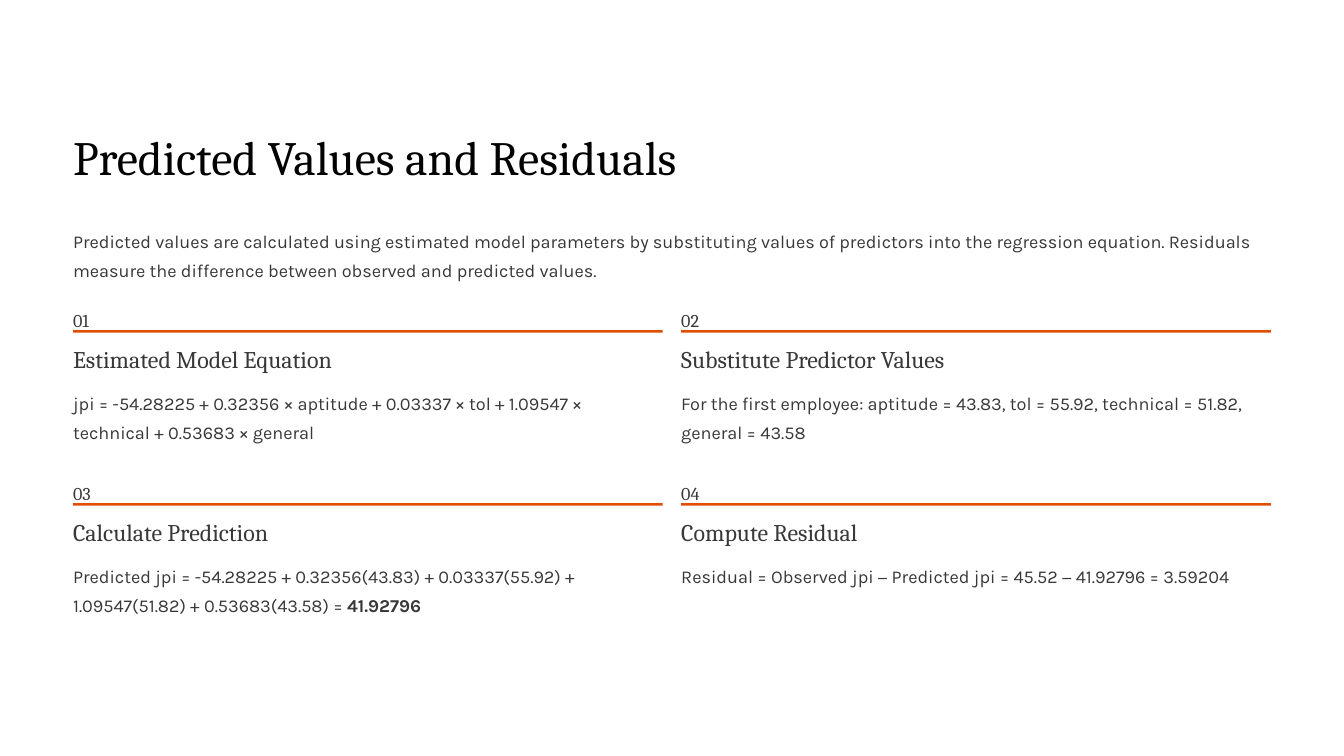
from dataclasses import dataclass

from pptx import Presentation
from pptx.dml.color import RGBColor
from pptx.enum.shapes import MSO_SHAPE
from pptx.enum.text import MSO_ANCHOR, MSO_AUTO_SIZE, PP_ALIGN
from pptx.util import Inches, Pt

SERIF, SANS = "Cambria", "Karla"
WHITE, BLACK, GREY, ORANGE = "FFFFFF", "020202", "383838", "E04F00"

SLIDE_WIDTH, SLIDE_HEIGHT = 16, 9
MARGIN = 0.87
GUTTER = 0.22
COLUMNS = 2
CONTENT_WIDTH = SLIDE_WIDTH - 2 * MARGIN
COLUMN_WIDTH = (CONTENT_WIDTH - GUTTER * (COLUMNS - 1)) / COLUMNS
GRID_TOP = 3.59
ROW_PITCH = 2.06


@dataclass(frozen=True)
class Step:
    heading: str
    text: str
    result: str = ""


STEPS = [
    Step(
        "Estimated Model Equation",
        "jpi = -54.28225 + 0.32356 × aptitude + 0.03337 × tol + 1.09547 × technical"
        " + 0.53683 × general",
    ),
    Step(
        "Substitute Predictor Values",
        "For the first employee: aptitude = 43.83, tol = 55.92, technical = 51.82,"
        " general = 43.58",
    ),
    Step(
        "Calculate Prediction",
        "Predicted jpi = -54.28225 + 0.32356(43.83) + 0.03337(55.92) + 1.09547(51.82)"
        " + 0.53683(43.58) = ",
        "41.92796",
    ),
    Step(
        "Compute Residual",
        "Residual = Observed jpi − Predicted jpi = 45.52 − 41.92796 = 3.59204",
    ),
]


def color(value: str) -> RGBColor:
    return RGBColor.from_string(value)


def place(shape, left: float, top: float, width: float, height: float) -> None:
    shape.left, shape.top = Inches(left), Inches(top)
    shape.width, shape.height = Inches(width), Inches(height)


def write(shape, text: str, *, bold_end: str = "", font: str = SANS, size: float = 15.5,
          line: float = 25, fill: str = GREY) -> None:
    """Fill a shape with one left-aligned paragraph, ending in bold if asked."""
    frame = shape.text_frame
    frame.margin_left = frame.margin_top = frame.margin_right = frame.margin_bottom = 0
    frame.word_wrap = True
    frame.auto_size = MSO_AUTO_SIZE.NONE
    frame.vertical_anchor = MSO_ANCHOR.TOP
    paragraph = frame.paragraphs[0]
    paragraph.alignment = PP_ALIGN.LEFT
    paragraph.line_spacing = Pt(line)
    for part, bold in ((text, False), (bold_end, True)):
        if part:
            run = paragraph.add_run()
            run.text = part
            run.font.name = font
            run.font.size = Pt(size)
            run.font.bold = bold
            run.font.color.rgb = color(fill)


def add_text(slide, left: float, top: float, width: float, height: float,
             text: str, **text_format) -> None:
    box = slide.shapes.add_textbox(0, 0, 0, 0)
    place(box, left, top, width, height)
    write(box, text, **text_format)


def add_rule(slide, left: float, top: float, width: float) -> None:
    rule = slide.shapes.add_shape(
        MSO_SHAPE.RECTANGLE, Inches(left), Inches(top), Inches(width), Inches(0.03))
    rule.shadow.inherit = False
    rule.fill.solid()
    rule.fill.fore_color.rgb = color(ORANGE)
    rule.line.fill.background()


def add_step(slide, index: int, step: Step) -> None:
    row, column = divmod(index, COLUMNS)
    left = MARGIN + column * (COLUMN_WIDTH + GUTTER)
    top = GRID_TOP + row * ROW_PITCH
    add_text(slide, left, top, COLUMN_WIDTH, 0.27, f"{index + 1:02}", font=SERIF)
    add_rule(slide, left, top + 0.34, COLUMN_WIDTH)
    add_text(slide, left, top + 0.5, COLUMN_WIDTH, 0.36, step.heading,
             font=SERIF, size=20.5, line=25.5)
    add_text(slide, left, top + 0.99, COLUMN_WIDTH, 0.69, step.text, bold_end=step.result)


def main() -> None:
    presentation = Presentation()
    presentation.slide_width = Inches(SLIDE_WIDTH)
    presentation.slide_height = Inches(SLIDE_HEIGHT)
    slide = presentation.slides.add_slide(presentation.slide_layouts.get_by_name("Title Only"))
    slide.background.fill.solid()
    slide.background.fill.fore_color.rgb = color(WHITE)

    title = slide.shapes.title
    place(title, MARGIN, 1.5, CONTENT_WIDTH, 0.71)
    write(title, "Predicted Values and Residuals", font=SERIF, size=41, line=51, fill=BLACK)
    add_text(slide, MARGIN, 2.65, CONTENT_WIDTH, 0.69,
             "Predicted values are calculated using estimated model parameters by substituting"
             " values of predictors into the regression equation. Residuals measure the"
             " difference between observed and predicted values.")
    for index, step in enumerate(STEPS):
        add_step(slide, index, step)

    presentation.save("out.pptx")


if __name__ == "__main__":
    main()
